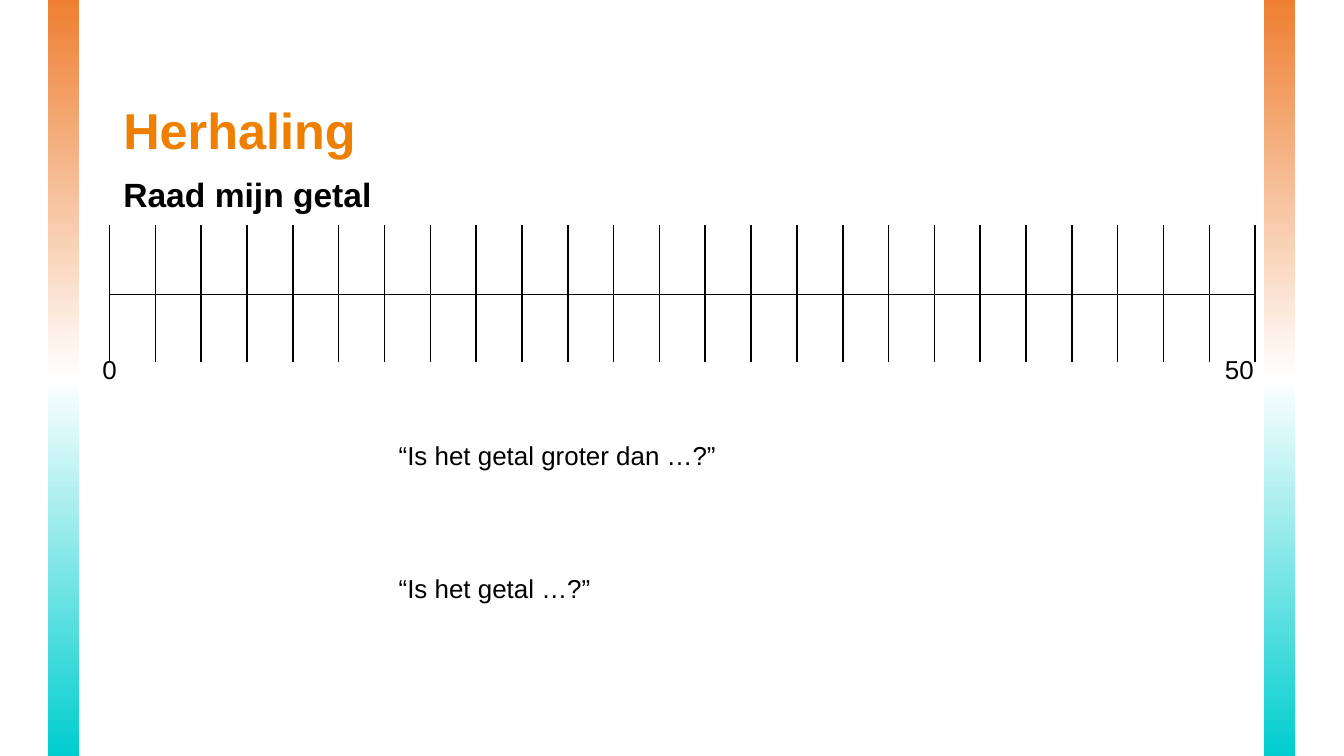
from copy import deepcopy

from lxml.etree import SubElement
from pptx import Presentation
from pptx.dml.color import RGBColor
from pptx.enum.shapes import MSO_SHAPE as Shape
from pptx.enum.text import MSO_ANCHOR as Anchor, PP_ALIGN as Align
from pptx.oxml import parse_xml
from pptx.oxml.ns import nsdecls, qn
from pptx.util import Pt

ORANGE = RGBColor(0xEE, 0x7F, 0x00)
BAND_ORANGE = RGBColor(0xEE, 0x7F, 0x31)
TEAL = RGBColor(0x00, 0xCD, 0xCF)
WHITE = RGBColor(0xFF, 0xFF, 0xFF)
BLACK = RGBColor(0x00, 0x00, 0x00)

FONT = "Arial"
WIDTH, HEIGHT = 720, 405
BAND_LEFTS = (25.5, 677)
BAND_WIDTH = 17
BAND_STOPS = ((0, BAND_ORANGE), (0.5, WHITE), (1, TEAL))

TITLE = "Herhaling"
SUBTITLE = "Raad mijn getal"
QUESTIONS = ["“Is het getal groter dan …?”", "“Is het getal …?”"]
END_LABELS = [("0", 47.5, 22.5), ("50", 643.5, 41)]

STEPS = 25
LINE_LEFT, LINE_TOP = 58.7, 121.2
STEP_WIDTH, ROW_HEIGHT = 24.55, 36.5


def add_text(slide, lines, box, size, color=BLACK, bold=False, align=Align.LEFT,
             anchor=Anchor.TOP, baseline=None, gap=0):
    shape = slide.shapes.add_textbox(*(Pt(length) for length in box))
    frame = shape.text_frame
    frame.word_wrap = True
    frame.vertical_anchor = anchor
    for index, line in enumerate(lines):
        paragraph = frame.paragraphs[0] if index == 0 else frame.add_paragraph()
        paragraph.alignment = align
        if index:
            paragraph.space_before = Pt(gap)
        run = paragraph.add_run()
        run.text = line
        run.font.name = FONT
        run.font.size = Pt(size)
        run.font.bold = bold
        run.font.color.rgb = color
        if baseline:
            run._r.get_or_add_rPr().set("baseline", str(baseline * 1000))


def add_band(slide, left):
    band = slide.shapes.add_shape(Shape.RECTANGLE, Pt(left), 0, Pt(BAND_WIDTH), Pt(HEIGHT))
    band.shadow.inherit = False
    band.line.fill.background()
    band.fill.gradient()
    band.fill.gradient_angle = 270
    stop_list = band._element.spPr.find(".//" + qn("a:gsLst"))
    stop_list.append(deepcopy(stop_list[-1]))
    for stop, (position, color) in zip(band.fill.gradient_stops, BAND_STOPS):
        stop.position = position
        stop.color.rgb = color


def set_borders(cell, **colors):
    properties = cell._tc.get_or_add_tcPr()
    for index, (side, color) in enumerate(colors.items()):
        line = parse_xml(f'<a:ln{side} {nsdecls("a")} w="{Pt(1)}"/>')
        fill = SubElement(line, qn("a:solidFill"))
        SubElement(fill, qn("a:srgbClr")).set("val", str(color))
        properties.insert(index, line)


def add_number_line(slide):
    table = slide.shapes.add_table(2, STEPS, Pt(LINE_LEFT), Pt(LINE_TOP),
                                   Pt(STEPS * STEP_WIDTH), Pt(2 * ROW_HEIGHT)).table
    for column in table.columns:
        column.width = Pt(STEP_WIDTH)
    for row, (top, bottom) in zip(table.rows, ((WHITE, BLACK), (BLACK, WHITE))):
        row.height = Pt(ROW_HEIGHT)
        for cell in row.cells:
            cell.fill.solid()
            cell.fill.fore_color.rgb = WHITE
            set_borders(cell, L=BLACK, R=BLACK, T=top, B=bottom)


presentation = Presentation()
presentation.slide_width = Pt(WIDTH)
presentation.slide_height = Pt(HEIGHT)
slide = presentation.slides.add_slide(presentation.slide_layouts[6])

for left in BAND_LEFTS:
    add_band(slide, left)
add_text(slide, [TITLE], (59, 51, 613.5, 38), 27, color=ORANGE, bold=True, anchor=Anchor.BOTTOM)
add_number_line(slide)
add_text(slide, [SUBTITLE], (59, 89.5, 613.5, 21.5), 18, bold=True)
for label, left, width in END_LABELS:
    add_text(slide, [label], (left, 176.5, width, 26.5), 24, align=Align.CENTER,
             anchor=Anchor.MIDDLE, baseline=-25)
add_text(slide, QUESTIONS, (206.5, 238.5, 363, 65.5), 24, anchor=Anchor.MIDDLE,
         baseline=-25, gap=38.4)

presentation.save("out.pptx")
